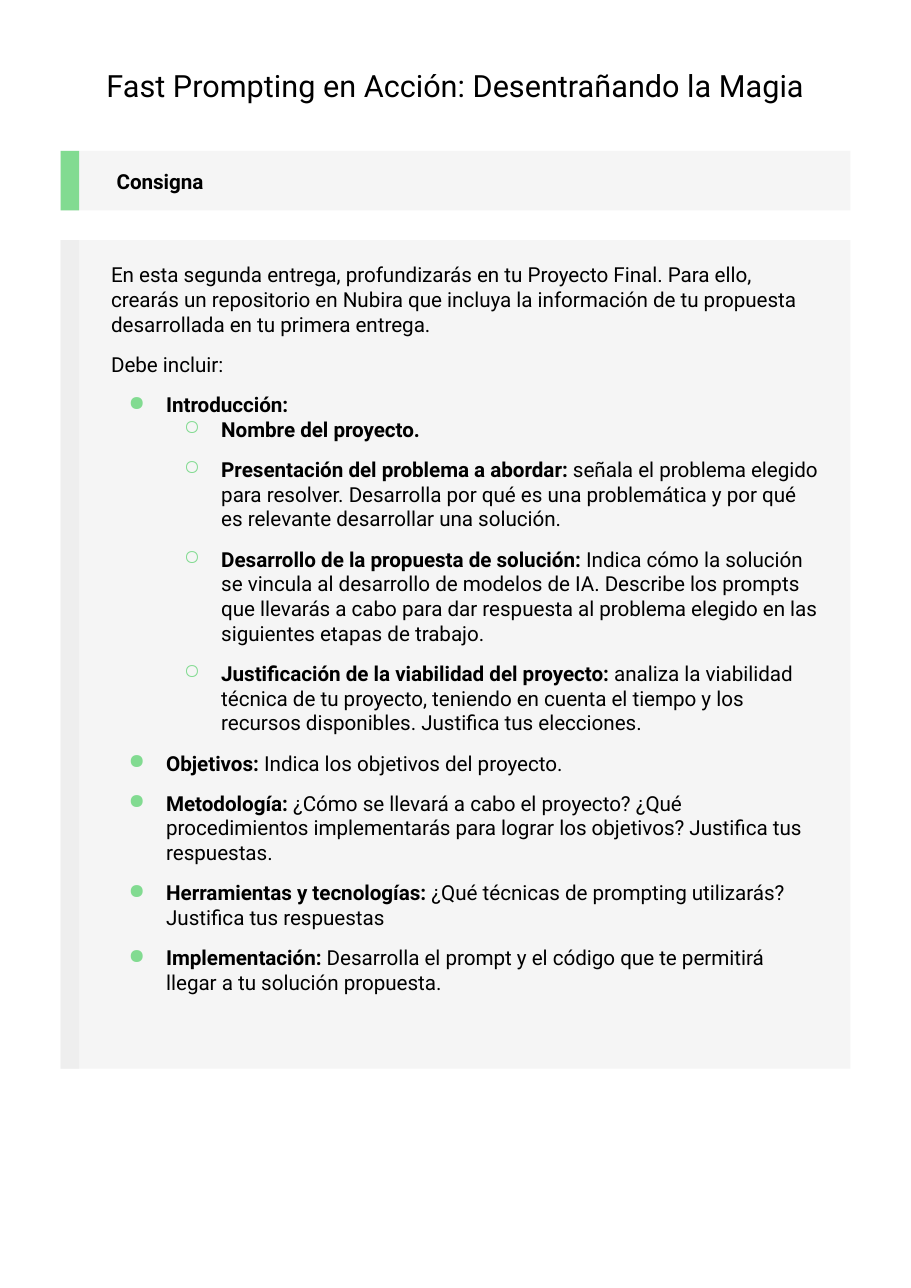
from lxml import etree
from pptx import Presentation
from pptx.dml.color import RGBColor
from pptx.enum.shapes import MSO_SHAPE
from pptx.enum.text import MSO_ANCHOR, PP_ALIGN
from pptx.oxml.ns import qn
from pptx.util import Inches, Pt

RECT = MSO_SHAPE.RECTANGLE
TOP, MIDDLE = MSO_ANCHOR.TOP, MSO_ANCHOR.MIDDLE
BLACK = RGBColor(0x00, 0x00, 0x00)
GREEN = RGBColor(0x82, 0xDB, 0x91)
PALE = RGBColor(0xF5, 0xF5, 0xF5)
GREY = RGBColor(0xEE, 0xEE, 0xEE)
FONT = "Roboto"
BODY = 13.5

TITLE = "Fast Prompting en Acción: Desentrañando la Magia"
HEADING = "Consigna"
INTRO = [
    "En esta segunda entrega, profundizarás en tu Proyecto Final. Para ello, "
    "crearás un repositorio en Nubira que incluya la información de tu propuesta "
    "desarrollada en tu primera entrega.",
    "Debe incluir:",
]
# level, label, detail, space before
ITEMS = [
    (0, "Introducción:", "", 10),
    (1, "Nombre del proyecto.", "", 0),
    (1, "Presentación del problema a abordar:",
     " señala el problema elegido para resolver. Desarrolla por qué es una "
     "problemática y por qué es relevante desarrollar una solución.", 10),
    (1, "Desarrollo de la propuesta de solución:",
     " Indica cómo la solución se vincula al desarrollo de modelos de IA. "
     "Describe los prompts que llevarás a cabo para dar respuesta al problema "
     "elegido en las siguientes etapas de trabajo.", 10),
    (1, "Justificación de la viabilidad del proyecto:",
     " analiza la viabilidad técnica de tu proyecto, teniendo en cuenta el tiempo "
     "y los recursos disponibles. Justifica tus elecciones.", 10),
    (0, "Objetivos:", " Indica los objetivos del proyecto.", 10),
    (0, "Metodología:",
     " ¿Cómo se llevará a cabo el proyecto? ¿Qué procedimientos implementarás "
     "para lograr los objetivos? Justifica tus respuestas.", 10),
    (0, "Herramientas y tecnologías:",
     " ¿Qué técnicas de prompting utilizarás? Justifica tus respuestas", 10),
    (0, "Implementación:",
     " Desarrolla el prompt y el código que te permitirá llegar a tu solución "
     "propuesta.", 10),
]
BULLETS = "●○"
LEFT, WIDTH, STRIPE = 0.55, 7.17, 0.17
PANELS = [(1.37, 0.54, GREEN), (2.18, 7.52, GREY)]  # top, height, stripe


def add_rect(slide, top, width, height, color):
    rect = slide.shapes.add_shape(
        RECT, Inches(LEFT), Inches(top), Inches(width), Inches(height))
    rect.shadow.inherit = False
    rect.fill.solid()
    rect.fill.fore_color.rgb = color
    rect.line.fill.background()


def add_frame(slide, left, top, width, height, anchor=TOP):
    box = slide.shapes.add_textbox(
        Inches(left), Inches(top), Inches(width), Inches(height))
    frame = box.text_frame
    frame.word_wrap = True
    frame.vertical_anchor = anchor
    frame.margin_left = frame.margin_right = Inches(0.1)
    frame.margin_top = frame.margin_bottom = Inches(0.1)
    return frame


def set_font(para, size=BODY):
    font = para.font
    font.name, font.size = FONT, Pt(size)
    font.color.rgb = BLACK
    return font


def set_bullet(para, level):
    para.level = level
    props = para._p.get_or_add_pPr()
    props.set("marL", str(Inches(0.5 * (level + 1))))
    props.set("indent", str(Inches(-0.34)))
    color = etree.SubElement(props, qn("a:buClr"))
    etree.SubElement(color, qn("a:srgbClr"), val=str(GREEN))
    etree.SubElement(props, qn("a:buChar"), char=BULLETS[level])


def add_item(frame, level, label, detail, space):
    para = frame.add_paragraph()
    set_bullet(para, level)
    para.space_before = Pt(space)
    set_font(para)
    for text, bold in ((label, True), (detail, False)):
        if text:
            run = para.add_run()
            run.text = text
            run.font.bold = bold


def main():
    deck = Presentation()
    deck.slide_width, deck.slide_height = Inches(8.27), Inches(11.69)
    slide = deck.slides.add_slide(deck.slide_layouts[6])

    for top, height, color in PANELS:
        add_rect(slide, top, WIDTH, height, PALE)
        add_rect(slide, top, STRIPE, height, color)

    title = add_frame(slide, LEFT, 0.51, WIDTH, 0.54).paragraphs[0]
    title.text = TITLE
    title.alignment = PP_ALIGN.CENTER
    set_font(title, 20)

    head = add_frame(slide, 0.96, 1.4, 6.52, 0.49, MIDDLE).paragraphs[0]
    head.text = HEADING
    head.space_after = Pt(12)
    set_font(head).bold = True

    body = add_frame(slide, 0.91, 2.28, 6.62, 7.65)
    for i, text in enumerate(INTRO):
        para = body.add_paragraph() if i else body.paragraphs[0]
        para.text = text
        para.space_before = Pt(10 if i else 0)
        set_font(para)
    for item in ITEMS:
        add_item(body, *item)

    deck.save("out.pptx")


if __name__ == "__main__":
    main()
